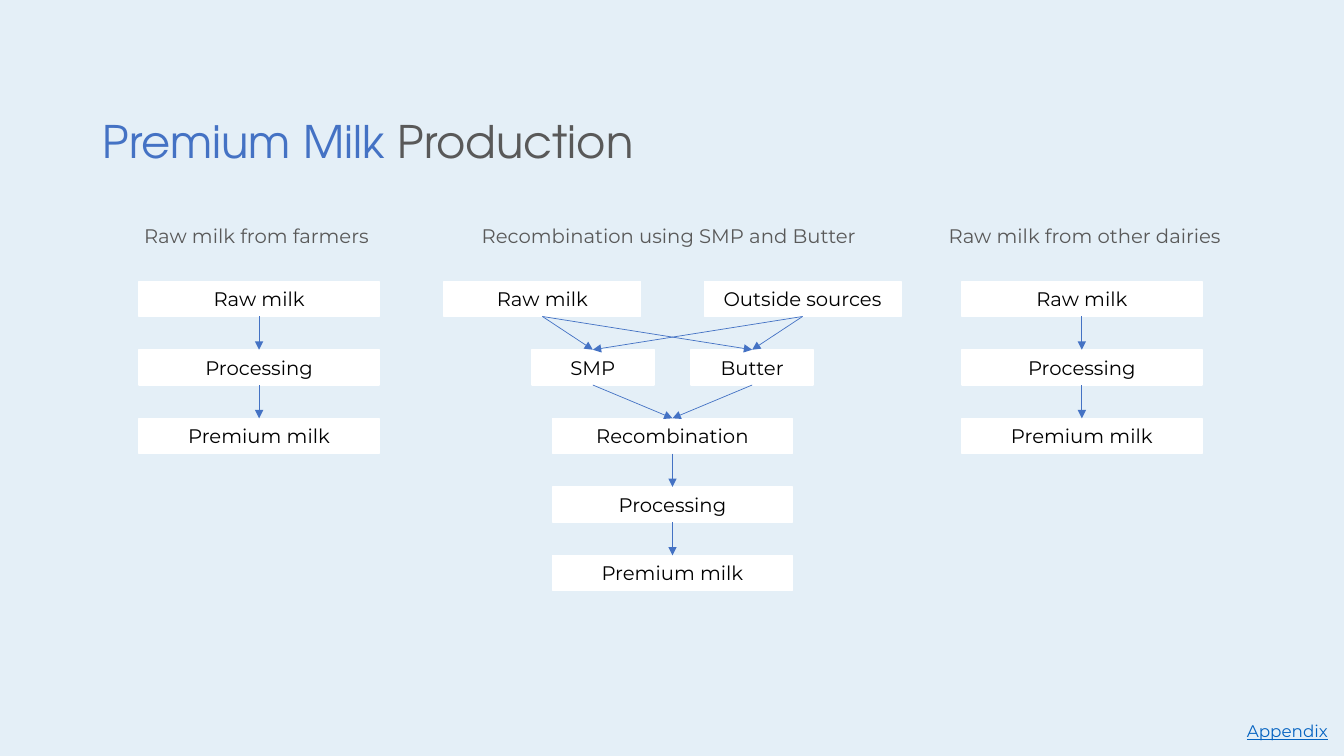
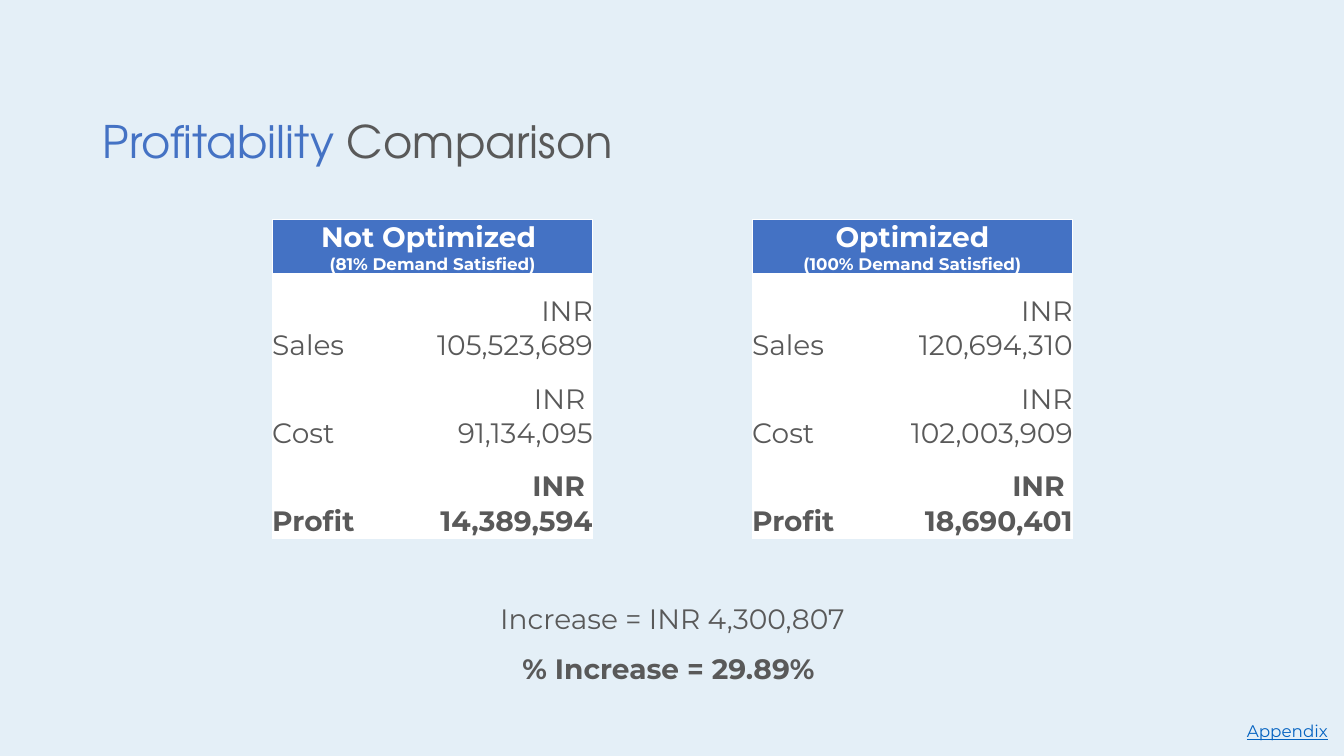
from dataclasses import dataclass
from itertools import product

from lxml.etree import SubElement
from pptx import Presentation
from pptx.dml.color import RGBColor
from pptx.enum.shapes import MSO_CONNECTOR, MSO_SHAPE
from pptx.enum.text import MSO_ANCHOR, MSO_AUTO_SIZE, PP_ALIGN
from pptx.oxml.ns import qn
from pptx.presentation import Presentation as Deck
from pptx.shapes.autoshape import Shape
from pptx.slide import Slide
from pptx.table import _Cell as Cell
from pptx.text.text import TextFrame
from pptx.util import Inches, Pt

BACKGROUND = "E4EFF7"
BLUE = "4472C4"
GREY = "595959"
WHITE = "FFFFFF"
BLACK = "000000"
LINK_BLUE = "0563C1"
TITLE_FONT = "TeX Gyre Adventor"
BODY_FONT = "Montserrat"

STEP_TOP, STEP_PITCH, STEP_HEIGHT = 2.79, 0.68, 0.35
WIDE, MEDIUM, NARROW = 2.38, 1.95, 1.21
FARMERS, RECOMBINED, DAIRIES = 2.57, 6.67, 10.73


@dataclass(frozen=True)
class Span:
    text: str
    size: float
    color: str = GREY
    bold: bool = False
    underline: bool = False
    font: str = BODY_FONT


@dataclass(frozen=True)
class Heading:
    text: str
    left: float
    width: float


@dataclass(frozen=True)
class Step:
    label: str
    center: float
    row: int
    width: float = WIDE


@dataclass(frozen=True)
class Scenario:
    name: str
    demand: str
    left: float
    amounts: tuple[tuple[str, ...], ...]


HEADINGS = (
    Heading("Raw milk from farmers ", 0.85, 3.44),
    Heading("Recombination using SMP and Butter ", 4.63, 4.06),
    Heading("Raw milk from other dairies", 8.78, 3.96),
)

SIMPLE_FLOW = ("Raw milk", "Processing", "Premium milk")

SCENARIOS = (
    Scenario(
        "Not Optimized ",
        "(81% Demand Satisfied)",
        2.7,
        (("INR 105,523,689",), ("INR ", "91,134,095"), ("INR ", "14,389,594")),
    ),
    Scenario(
        "Optimized",
        "(100% Demand Satisfied)",
        7.46,
        (("INR 120,694,310",), ("INR 102,003,909",), ("INR ", "18,690,401")),
    ),
)


def rgb(value: str) -> RGBColor:
    return RGBColor.from_string(value)


def write(
    frame: TextFrame,
    lines: list[list[Span]],
    align: PP_ALIGN,
    spacing: float | None = None,
) -> None:
    for index, spans in enumerate(lines):
        paragraph = frame.add_paragraph() if index else frame.paragraphs[0]
        paragraph.alignment = align
        if spacing:
            paragraph.line_spacing = spacing
        for span in spans:
            run = paragraph.add_run()
            run.text = span.text
            run.font.name = span.font
            run.font.size = Pt(span.size)
            run.font.bold = span.bold
            run.font.underline = span.underline
            run.font.color.rgb = rgb(span.color)


def add_caption(
    slide: Slide,
    left: float,
    top: float,
    width: float,
    height: float,
    lines: list[list[Span]],
    align: PP_ALIGN = PP_ALIGN.CENTER,
    spacing: float | None = None,
) -> None:
    caption = slide.shapes.add_textbox(
        Inches(left), Inches(top), Inches(width), Inches(height)
    )
    caption.text_frame.word_wrap = True
    caption.text_frame.auto_size = MSO_AUTO_SIZE.SHAPE_TO_FIT_TEXT
    write(caption.text_frame, lines, align, spacing)


def add_titled_slide(deck: Deck, accent: str, rest: str) -> Slide:
    slide = deck.slides.add_slide(deck.slide_layouts[5])
    title = slide.shapes.title
    title.left, title.top = Inches(0.92), Inches(0.7)
    title.width, title.height = Inches(11.5), Inches(1.45)
    title.text_frame.vertical_anchor = MSO_ANCHOR.MIDDLE
    title.text_frame.auto_size = MSO_AUTO_SIZE.NONE
    spans = [
        Span(accent, 32, BLUE, font=TITLE_FONT),
        Span(rest, 32, font=TITLE_FONT),
    ]
    write(title.text_frame, [spans], PP_ALIGN.LEFT, 0.9)
    add_caption(
        slide, 11.56, 7.1, 1.71, 0.3,
        [[Span("Appendix", 12, LINK_BLUE, underline=True)]],
        PP_ALIGN.RIGHT,
    )
    return slide


def add_step(slide: Slide, step: Step) -> Shape:
    box = slide.shapes.add_shape(
        MSO_SHAPE.RECTANGLE,
        Inches(step.center - step.width / 2),
        Inches(STEP_TOP + step.row * STEP_PITCH),
        Inches(step.width),
        Inches(STEP_HEIGHT),
    )
    box.shadow.inherit = False
    box.fill.solid()
    box.fill.fore_color.rgb = rgb(WHITE)
    box.line.color.rgb = rgb(WHITE)
    box.line.width = Pt(1)
    box.text_frame.word_wrap = True
    box.text_frame.vertical_anchor = MSO_ANCHOR.MIDDLE
    write(box.text_frame, [[Span(step.label, 14, BLACK)]], PP_ALIGN.CENTER)
    return box


def add_arrow(slide: Slide, source: Shape, target: Shape) -> None:
    arrow = slide.shapes.add_connector(MSO_CONNECTOR.STRAIGHT, 0, 0, 0, 0)
    arrow.begin_connect(source, 2)
    arrow.end_connect(target, 0)
    arrow.line.color.rgb = rgb(BLUE)
    arrow.line.width = Pt(0.5)
    properties = arrow._element.spPr
    SubElement(properties.find(qn("a:ln")), qn("a:tailEnd"), type="triangle")
    SubElement(properties, qn("a:effectLst"))


def add_chain(slide: Slide, labels: tuple[str, ...], center: float, row: int) -> Shape:
    boxes = [
        add_step(slide, Step(label, center, row + offset))
        for offset, label in enumerate(labels)
    ]
    for source, target in zip(boxes, boxes[1:]):
        add_arrow(slide, source, target)
    return boxes[0]


def build_production(deck: Deck) -> None:
    slide = add_titled_slide(deck, "Premium Milk ", "Production")
    for heading in HEADINGS:
        add_caption(
            slide, heading.left, 2.17, heading.width, 0.34,
            [[Span(heading.text, 14)]],
        )
    for center in (FARMERS, DAIRIES):
        add_chain(slide, SIMPLE_FLOW, center, 0)
    sources = [
        add_step(slide, Step("Raw milk", 5.38, 0, MEDIUM)),
        add_step(slide, Step("Outside sources", 7.96, 0, MEDIUM)),
    ]
    ingredients = [
        add_step(slide, Step("SMP", 5.88, 1, NARROW)),
        add_step(slide, Step("Butter", 7.46, 1, NARROW)),
    ]
    recombination = add_chain(
        slide, ("Recombination", "Processing", "Premium milk"), RECOMBINED, 2
    )
    for source, ingredient in product(sources, ingredients):
        add_arrow(slide, source, ingredient)
    for ingredient in ingredients:
        add_arrow(slide, ingredient, recombination)


def style_cell(cell: Cell, fill: str, top: float = 1, bottom: float = 1) -> None:
    properties = cell._tc.get_or_add_tcPr()
    for side, width in (("L", 1), ("R", 1), ("T", top), ("B", bottom)):
        border = SubElement(properties, qn(f"a:ln{side}"), w=str(Pt(width)))
        paint = SubElement(border, qn("a:solidFill"))
        SubElement(paint, qn("a:srgbClr"), val=WHITE)
    cell.fill.solid()
    cell.fill.fore_color.rgb = rgb(fill)
    cell.margin_left = cell.margin_right = 0
    cell.margin_top = cell.margin_bottom = 0
    cell.vertical_anchor = MSO_ANCHOR.BOTTOM


def add_scenario(slide: Slide, scenario: Scenario) -> None:
    table = slide.shapes.add_table(
        4, 2, Inches(scenario.left), Inches(2.18), Inches(3.18), Inches(3.16)
    ).table
    for column, width in zip(table.columns, (1.12, 2.06)):
        column.width = Inches(width)
    for row, height in zip(table.rows, (0.55, 0.87, 0.87, 0.87)):
        row.height = Inches(height)
    for column in range(2):
        style_cell(table.cell(0, column), BLUE, bottom=3)
    header = table.cell(0, 0)
    header.merge(table.cell(0, 1))
    write(
        header.text_frame,
        [
            [Span(scenario.name, 20, WHITE, bold=True)],
            [Span(scenario.demand, 12, WHITE, bold=True)],
        ],
        PP_ALIGN.CENTER,
    )
    measures = ("Sales", "Cost", "Profit")
    for row, (measure, amount) in enumerate(zip(measures, scenario.amounts), 1):
        contents = (((measure,), PP_ALIGN.LEFT), (amount, PP_ALIGN.RIGHT))
        for column, (lines, align) in enumerate(contents):
            cell = table.cell(row, column)
            style_cell(cell, WHITE, top=3 if row == 1 else 1)
            spans = [[Span(line, 20, bold=measure == "Profit")] for line in lines]
            write(cell.text_frame, spans, align)


def build_profitability(deck: Deck) -> None:
    slide = add_titled_slide(deck, "Profitability ", "Comparison")
    for scenario in SCENARIOS:
        add_scenario(slide, scenario)
    add_caption(
        slide, 4.63, 5.75, 4.08, 1.05,
        [
            [Span("Increase = INR 4,300,807", 20)],
            [Span("% Increase = 29.89% ", 20, bold=True)],
        ],
        spacing=1.5,
    )


def main() -> None:
    deck = Presentation()
    deck.slide_width, deck.slide_height = Inches(13.33), Inches(7.5)
    backdrop = deck.slide_master.background.fill
    backdrop.solid()
    backdrop.fore_color.rgb = rgb(BACKGROUND)
    build_production(deck)
    build_profitability(deck)
    deck.save("out.pptx")


if __name__ == "__main__":
    main()
